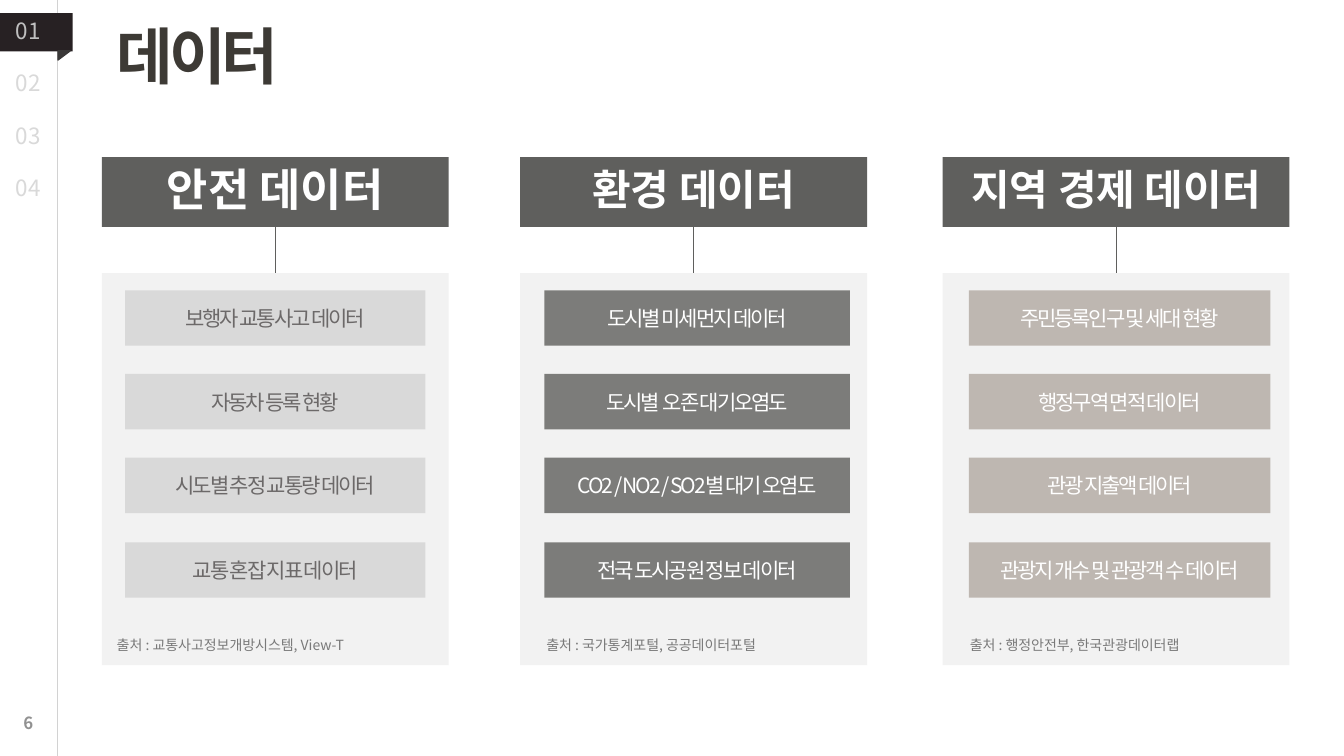
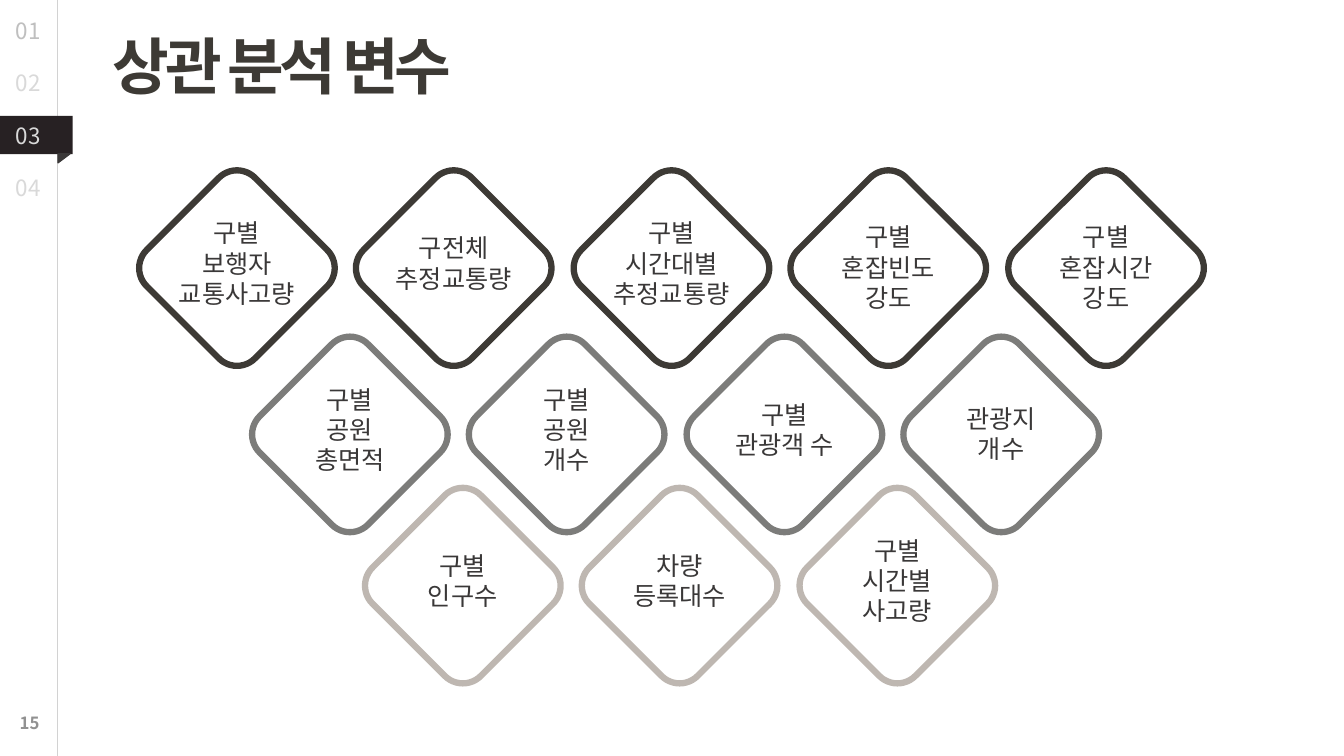
from dataclasses import dataclass

import lxml.etree
import pptx
import pptx.dml.color
import pptx.enum.shapes
import pptx.enum.text
import pptx.oxml
import pptx.oxml.ns
import pptx.shapes.autoshape
import pptx.shapes.connector
import pptx.slide
import pptx.text.text
import pptx.util

PX = 9144  # EMU per px, 100 px to the inch
SLIDE_WIDTH, SLIDE_HEIGHT = 1333, 750
FONT = "Noto Sans CJK KR"
COLORS = {
    "title": "3D3A35", "header": "5F5F5D", "panel": "F2F2F2",
    "light": "D9D9D9", "gray": "7C7C7A", "beige": "BEB7B1",
    "white": "FFFFFF", "light_text": "6C6969", "source": "797979",
    "tag": "272123", "fold": "3A3838", "guide": "A6A6A6",
    "first_number": "BFBFBF", "number": "D9D9D9", "page": "919191",
}
ALIGN = pptx.enum.text.PP_ALIGN
ANCHOR = pptx.enum.text.MSO_ANCHOR
SHAPE = pptx.enum.shapes.MSO_SHAPE
qn = pptx.oxml.ns.qn


@dataclass(frozen=True)
class TextStyle:
    size: int
    color: str
    bold: bool = False
    spacing: float = 0  # points between letters
    outlined: bool = False
    line_spacing: float = 1.0
    align: ALIGN = ALIGN.LEFT
    anchor: ANCHOR = ANCHOR.TOP


@dataclass(frozen=True)
class Box:
    left: int
    top: int
    width: int
    height: int

    def emu(self) -> tuple[int, int, int, int]:
        return self.left * PX, self.top * PX, self.width * PX, self.height * PX


@dataclass(frozen=True)
class DataColumn:
    left: int
    header: str
    header_size: int
    tile_left: int
    tile_width: int
    tile_color: str
    text_color: str
    tiles: tuple[str, ...]
    source_left: int
    source: str


@dataclass(frozen=True)
class Variable:
    lines: tuple[str, ...]
    lift: int = 5  # text centre above the diamond centre


@dataclass(frozen=True)
class DiamondRow:
    left: int
    top: int
    color: str
    variables: tuple[Variable, ...]


TITLE = TextStyle(44, "title", bold=True, spacing=-3)
SOURCE = TextStyle(10, "source")
PAGE = TextStyle(12, "page", bold=True, align=ALIGN.RIGHT, anchor=ANCHOR.MIDDLE)
VARIABLE = TextStyle(18, "fold", align=ALIGN.CENTER, anchor=ANCHOR.MIDDLE)

COLUMN_WIDTH = 344
HEADER_TOP, HEADER_HEIGHT = 156, 69
PANEL_TOP, PANEL_HEIGHT = 271, 389
TILE_TOP, TILE_HEIGHT, TILE_SPAN = 288, 55, 250
DIAMOND_SIZE, DIAMOND_SPAN = 152, 862

COLUMNS = (
    DataColumn(101, "안전 데이터", 32, 124, 298, "light", "light_text",
               ("보행자 교통사고 데이터", "자동차 등록 현황",
                "시도별 추정 교통량 데이터", "교통 혼잡 지표 데이터"),
               106, "출처 : 교통사고정보개방시스템, View-T"),
    DataColumn(516, "환경 데이터", 30, 540, 303, "gray", "white",
               ("도시별 미세먼지 데이터", "도시별  오존 대기오염도",
                "CO2 / NO2 / SO2별 대기 오염도", "전국 도시공원 정보 데이터"),
               532, "출처 : 국가통계포털, 공공데이터포털"),
    DataColumn(935, "지역 경제 데이터", 30, 961, 299, "beige", "white",
               ("주민등록인구 및 세대 현황", "행정구역 면적 데이터",
                "관광 지출액 데이터", "관광지 개수 및 관광객 수 데이터"),
               952, "출처 : 행정안전부, 한국관광데이터랩"),
)

DIAMOND_ROWS = (
    DiamondRow(159, 190, "title", (
        Variable(("구별", "보행자", "교통사고량")),
        Variable(("구전체", "추정교통량")),
        Variable(("구별", "시간대별", "추정교통량")),
        Variable(("구별", "혼잡빈도", "강도"), lift=1),
        Variable(("구별", "혼잡시간", "강도"), lift=1))),
    DiamondRow(271, 355, "gray", (
        Variable(("구별", "공원", "총면적")),
        Variable(("구별", "공원", "개수")),
        Variable(("구별", "관광객 수")),
        Variable(("관광지", "개수"), lift=1))),
    DiamondRow(383, 505, "beige", (
        Variable(("구별", "인구수")),
        Variable(("차량", "등록대수")),
        Variable(("구별", "시간별", "사고량")))),
)


def rgb(name: str) -> pptx.dml.color.RGBColor:
    return pptx.dml.color.RGBColor.from_string(COLORS[name])


def set_alpha(element: lxml.etree.ElementBase, percent: int) -> None:
    color = next(element.iter(qn("a:srgbClr")))
    lxml.etree.SubElement(color, qn("a:alpha"), val=str(percent * 1000))


def style_paragraph(paragraph: pptx.text.text._Paragraph, style: TextStyle) -> None:
    paragraph.alignment = style.align
    paragraph.line_spacing = style.line_spacing
    font = paragraph.font
    font.name = FONT
    font.size = pptx.util.Pt(style.size)
    font.bold = style.bold
    font.color.rgb = rgb(style.color)
    # East Asian font, letter spacing and outline need XML
    properties = paragraph._p.pPr.find(qn("a:defRPr"))
    lxml.etree.SubElement(properties, qn("a:ea"), typeface=FONT)
    if style.spacing:
        properties.set("spc", str(round(style.spacing * 100)))
    if style.outlined:
        outline = lxml.etree.Element(qn("a:ln"), w=str(pptx.util.Pt(0.75)))
        fill = lxml.etree.SubElement(outline, qn("a:solidFill"))
        lxml.etree.SubElement(fill, qn("a:srgbClr"), val=COLORS["fold"])
        set_alpha(outline, 30)
        properties.insert(0, outline)


def write(frame: pptx.text.text.TextFrame, lines: tuple[str, ...], style: TextStyle) -> None:
    frame.word_wrap = True
    frame.vertical_anchor = style.anchor
    for index, line in enumerate(lines):
        paragraph = frame.add_paragraph() if index else frame.paragraphs[0]
        paragraph.text = line
        style_paragraph(paragraph, style)


def add_text(slide: pptx.slide.Slide, box: Box, style: TextStyle,
             *lines: str) -> pptx.text.text.TextFrame:
    frame = slide.shapes.add_textbox(*box.emu()).text_frame
    write(frame, lines, style)
    return frame


def add_shape(slide: pptx.slide.Slide, kind: SHAPE, box: Box, fill: str | None = None,
              line: str | None = None, line_width: float = 1,
              rotation: int = 0) -> pptx.shapes.autoshape.Shape:
    shape = slide.shapes.add_shape(kind, *box.emu())
    shape.shadow.inherit = False
    shape.rotation = rotation
    if fill:
        shape.fill.solid()
        shape.fill.fore_color.rgb = rgb(fill)
    else:
        shape.fill.background()
    if line:
        shape.line.color.rgb = rgb(line)
        shape.line.width = pptx.util.Pt(line_width)
    else:
        shape.line.fill.background()
    return shape


def add_line(slide: pptx.slide.Slide, x: int, top: int, bottom: int,
             color: str) -> pptx.shapes.connector.Connector:
    line = slide.shapes.add_connector(
        pptx.enum.shapes.MSO_CONNECTOR.STRAIGHT, x * PX, top * PX, x * PX, bottom * PX)
    line.line.color.rgb = rgb(color)
    line.line.width = pptx.util.Pt(0.5)
    lxml.etree.SubElement(line._element.spPr, qn("a:effectLst"))
    return line


def add_frame(slide: pptx.slide.Slide, section: int, page: int) -> None:
    """Section navigation and page number at the left edge."""
    guide = add_line(slide, 57, 0, SLIDE_HEIGHT, "guide")
    set_alpha(guide._element.spPr, 50)
    tag_top = 13 + (section - 1) * 51
    add_shape(slide, SHAPE.RECTANGLE, Box(0, tag_top, 72, 38), "tag")
    add_shape(slide, SHAPE.RIGHT_TRIANGLE, Box(59, tag_top + 36, 9, 12),
              "fold", line="fold", rotation=90)
    for index in range(4):
        color = "number" if index else "first_number"
        add_text(slide, Box(6, 12 + index * 52, 55, 37),
                 TextStyle(16, color, outlined=True), f"{index + 1:02d}")
    # Right edge of the page number moves with its digits
    right = 43 if page < 10 else 49
    add_text(slide, Box(0, 697, right, 40), PAGE, str(page)).margin_left = 0


def add_data_column(slide: pptx.slide.Slide, column: DataColumn) -> None:
    panel = add_shape(slide, SHAPE.RECTANGLE,
                      Box(column.left, PANEL_TOP, COLUMN_WIDTH, PANEL_HEIGHT), "panel")
    header = add_shape(slide, SHAPE.RECTANGLE,
                       Box(column.left, HEADER_TOP, COLUMN_WIDTH, HEADER_HEIGHT), "header")
    frame = header.text_frame
    frame.margin_left = frame.margin_right = frame.margin_top = frame.margin_bottom = 3 * PX
    write(frame, (column.header,),
          TextStyle(column.header_size, "white", bold=True, line_spacing=0.9,
                    align=ALIGN.CENTER, anchor=ANCHOR.MIDDLE))

    link = add_line(slide, column.left + COLUMN_WIDTH // 2,
                    HEADER_TOP + HEADER_HEIGHT, PANEL_TOP, "header")
    link.begin_connect(header, 2)
    link.end_connect(panel, 0)

    tile_style = TextStyle(15, column.text_color, spacing=-1.5,
                           align=ALIGN.CENTER, anchor=ANCHOR.MIDDLE)
    for index, text in enumerate(column.tiles):
        top = TILE_TOP + index * TILE_SPAN // (len(column.tiles) - 1)
        tile = add_shape(slide, SHAPE.RECTANGLE,
                         Box(column.tile_left, top, column.tile_width, TILE_HEIGHT),
                         column.tile_color)
        write(tile.text_frame, (text,), tile_style)
    add_text(slide, Box(column.source_left, 627, 324, 27), SOURCE, column.source)


def add_diamond_row(slide: pptx.slide.Slide, row: DiamondRow) -> None:
    for index, variable in enumerate(row.variables):
        left = row.left + index * DIAMOND_SPAN // 4
        add_shape(slide, SHAPE.ROUNDED_RECTANGLE,
                  Box(left, row.top, DIAMOND_SIZE, DIAMOND_SIZE),
                  line=row.color, line_width=4.5, rotation=45)
        height = 10 + 30 * len(variable.lines)
        top = row.top + (DIAMOND_SIZE - height) // 2 - variable.lift
        add_text(slide, Box(left - 7, top, 166, height), VARIABLE, *variable.lines)


def main() -> None:
    presentation = pptx.Presentation()
    presentation.slide_width = SLIDE_WIDTH * PX
    presentation.slide_height = SLIDE_HEIGHT * PX
    blank = presentation.slide_layouts[6]

    # Data sources
    slide = presentation.slides.add_slide(blank)
    add_text(slide, Box(106, 13, 500, 84), TITLE, "데이터")
    for column in COLUMNS:
        add_data_column(slide, column)
    add_frame(slide, section=1, page=6)

    # Correlation variables
    slide = presentation.slides.add_slide(blank)
    add_text(slide, Box(102, 23, 500, 84), TITLE, "상관 분석 변수")
    for row in DIAMOND_ROWS:
        add_diamond_row(slide, row)
    add_frame(slide, section=3, page=15)

    presentation.save("out.pptx")


if __name__ == "__main__":
    main()
